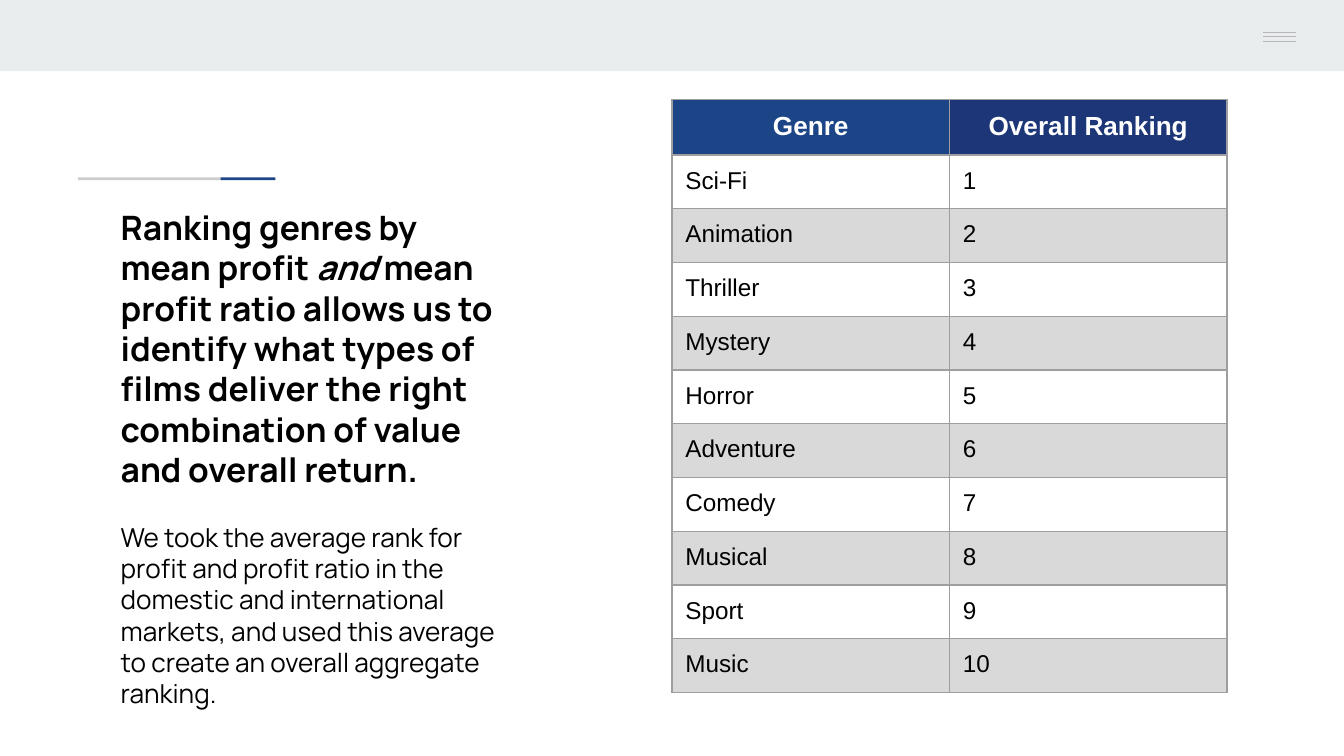
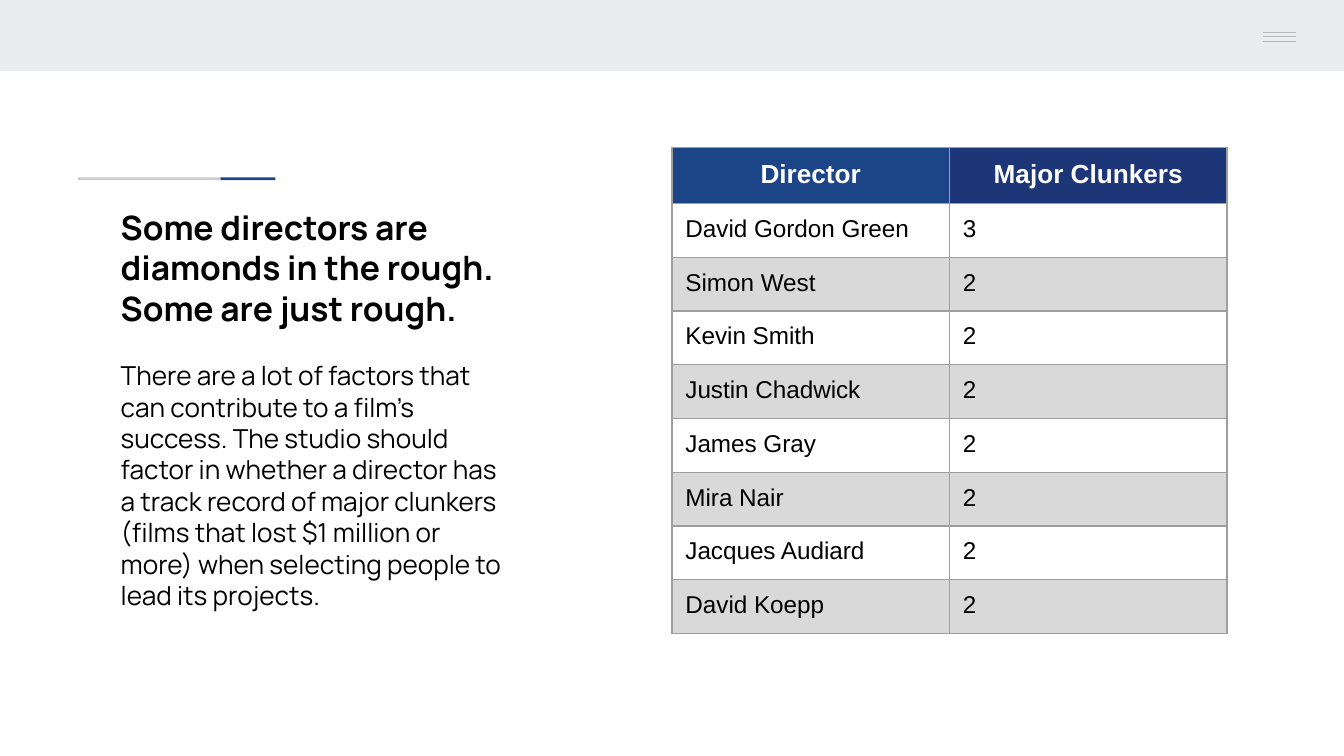
from lxml import etree
from pptx import Presentation
from pptx.dml.color import RGBColor
from pptx.enum.shapes import MSO_CONNECTOR, MSO_SHAPE
from pptx.enum.text import PP_ALIGN
from pptx.oxml.ns import qn
from pptx.util import Inches, Pt

RECT = MSO_SHAPE.RECTANGLE
LINE = MSO_CONNECTOR.STRAIGHT
LEFT, CENTER = PP_ALIGN.LEFT, PP_ALIGN.CENTER

HEX = {
    "band": "E9EDEE", "menu": "B7B7B7", "blue": "1C4587", "navy": "1C3678",
    "rule": "CCCCCC", "edge": "9E9E9E", "gray": "D9D9D9",
    "white": "FFFFFF", "black": "000000",
}

SLIDES = [
    {
        "title": [
            ("Ranking genres by mean profit ", False),
            ("and", True),
            (" mean profit ratio allows us to identify what types of films "
             "deliver the right combination of value and overall return.", False),
        ],
        "body": "We took the average rank for profit and profit ratio in the "
                "domestic and international markets, and used this average to "
                "create an overall aggregate ranking.",
        "top": 0.74,
        "head": ("Genre", "Overall Ranking"),
        "rows": [
            ("Sci-Fi", 1), ("Animation", 2), ("Thriller", 3), ("Mystery", 4),
            ("Horror", 5), ("Adventure", 6), ("Comedy", 7), ("Musical", 8),
            ("Sport", 9), ("Music", 10),
        ],
    },
    {
        "title": [
            ("Some directors are diamonds in the rough. Some are just rough.", False),
        ],
        "body": "There are a lot of factors that can contribute to a film’s "
                "success. The studio should factor in whether a director has a "
                "track record of major clunkers (films that lost $1 million or "
                "more) when selecting people to lead its projects.",
        "top": 1.1,
        "head": ("Director", "Major Clunkers"),
        "rows": [
            ("David Gordon Green", 3), ("Simon West", 2), ("Kevin Smith", 2),
            ("Justin Chadwick", 2), ("James Gray", 2), ("Mira Nair", 2),
            ("Jacques Audiard", 2), ("David Koepp", 2),
        ],
    },
]


def color(name):
    return RGBColor.from_string(HEX[name])


def style(para, face, size, ink, bold):
    font = para.font
    font.name, font.size, font.bold = face, Pt(size), bold
    font.color.rgb = color(ink)


def pad(part, side, end):
    part.margin_left = part.margin_right = Inches(side)
    part.margin_top = part.margin_bottom = Inches(end)


def add_bar(slide, x, y, w, h, fill):
    bar = slide.shapes.add_shape(RECT, Inches(x), Inches(y), Inches(w), Inches(h))
    bar.shadow.inherit = False
    bar.fill.solid()
    bar.fill.fore_color.rgb = color(fill)
    bar.line.fill.background()


def add_frame(slide):
    add_bar(slide, 0, 0, 10, 0.53, "band")
    for y in (0.24, 0.27, 0.31):
        line = slide.shapes.add_connector(
            LINE, Inches(9.4), Inches(y), Inches(9.64), Inches(y)
        )
        line.line.color.rgb = color("menu")
        line.line.width = Pt(0.75)
        etree.SubElement(line._element.spPr, qn("a:effectLst"))
    add_bar(slide, 1.64, 1.32, 0.41, 0.02, "blue")
    add_bar(slide, 0.58, 1.32, 1.06, 0.02, "rule")


def add_copy(slide, title, body):
    box = slide.shapes.add_textbox(Inches(0.8), Inches(1.44), Inches(3.06), Inches(2.36))
    frame = box.text_frame
    frame.word_wrap = True
    pad(frame, 0.1, 0.1)
    head = frame.paragraphs[0]
    for text, slant in title:
        run = head.add_run()
        run.text = text
        if slant:
            run.font.italic = True
    note = frame.add_paragraph()
    note.text = body
    note.space_before = Pt(17)
    for para, size, bold in ((head, 18, True), (note, 14, False)):
        style(para, "Manrope", size, "black", bold)
        para.line_spacing = Pt(size * 1.2)


def set_edges(cell):
    props = cell._tc.get_or_add_tcPr()
    for i, side in enumerate(("lnL", "lnR", "lnT", "lnB")):
        edge = etree.Element(qn("a:" + side), w=str(Pt(0.75)))
        fill = etree.SubElement(edge, qn("a:solidFill"))
        etree.SubElement(fill, qn("a:srgbClr"), val=HEX["edge"])
        props.insert(i, edge)


def add_grid(slide, top, head, rows):
    data = [head] + rows
    highs = [0.41] + [0.4] * len(rows)
    grid = slide.shapes.add_table(
        len(data), 2, Inches(5), Inches(top), Inches(4.13), Inches(sum(highs))
    ).table
    for row, high in zip(grid.rows, highs):
        row.height = Inches(high)
    for r, row in enumerate(data):
        for c, value in enumerate(row):
            cell = grid.cell(r, c)
            cell.text = str(value)
            pad(cell, 0.1, 0.09)
            para = cell.text_frame.paragraphs[0]
            if r == 0:
                fill = ("blue", "navy")[c]
                para.alignment = CENTER
                style(para, "Arial", 14, "white", True)
            else:
                fill = "white" if r % 2 else "gray"
                para.alignment = LEFT
                style(para, "Arial", 13, "black", False)
            cell.fill.solid()
            cell.fill.fore_color.rgb = color(fill)
            set_edges(cell)


def main():
    deck = Presentation()
    deck.slide_width, deck.slide_height = Inches(10), Inches(10 * 9 / 16)
    for item in SLIDES:
        slide = deck.slides.add_slide(deck.slide_layouts[6])
        add_frame(slide)
        add_copy(slide, item["title"], item["body"])
        add_grid(slide, item["top"], item["head"], item["rows"])
    deck.save("out.pptx")


if __name__ == "__main__":
    main()
